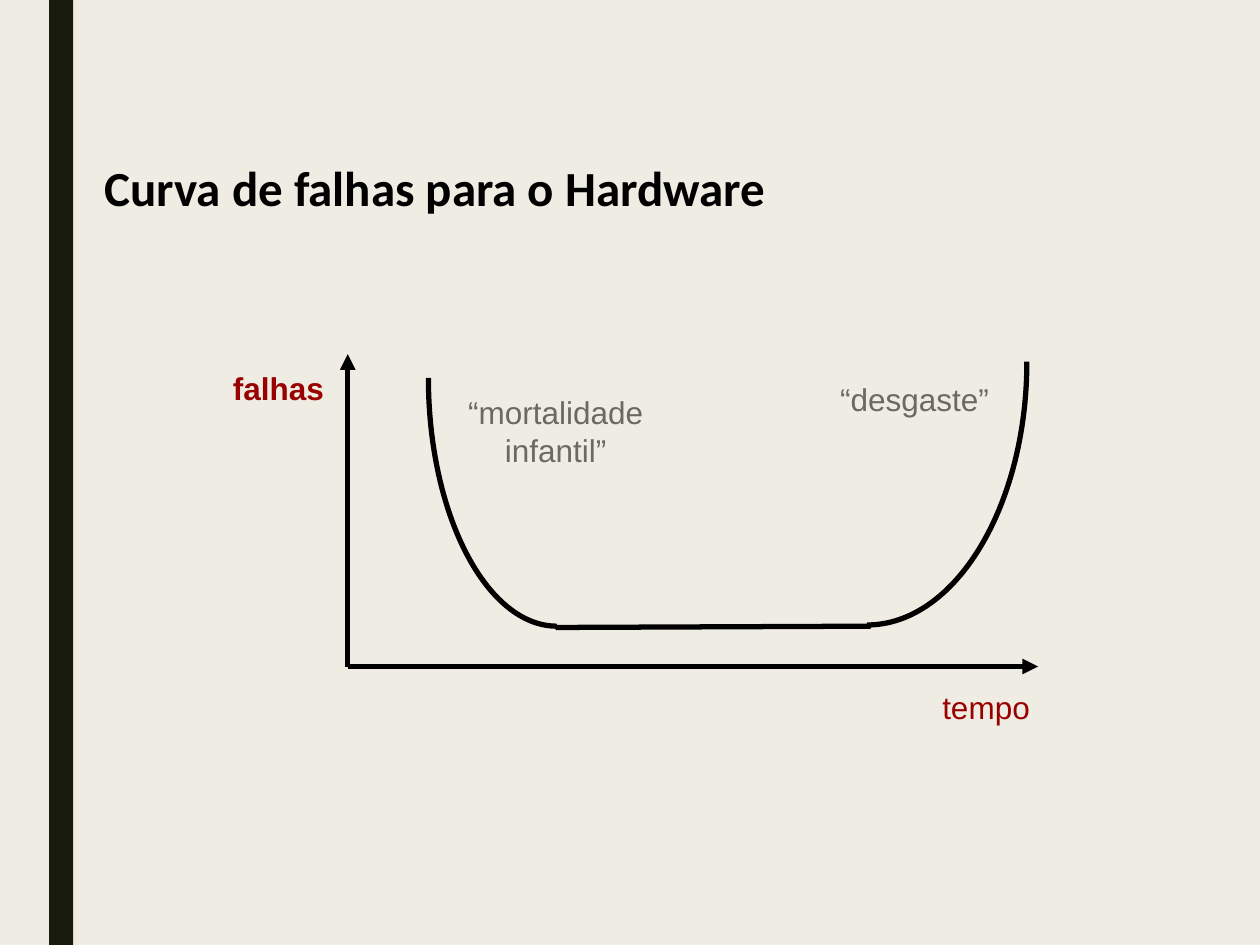
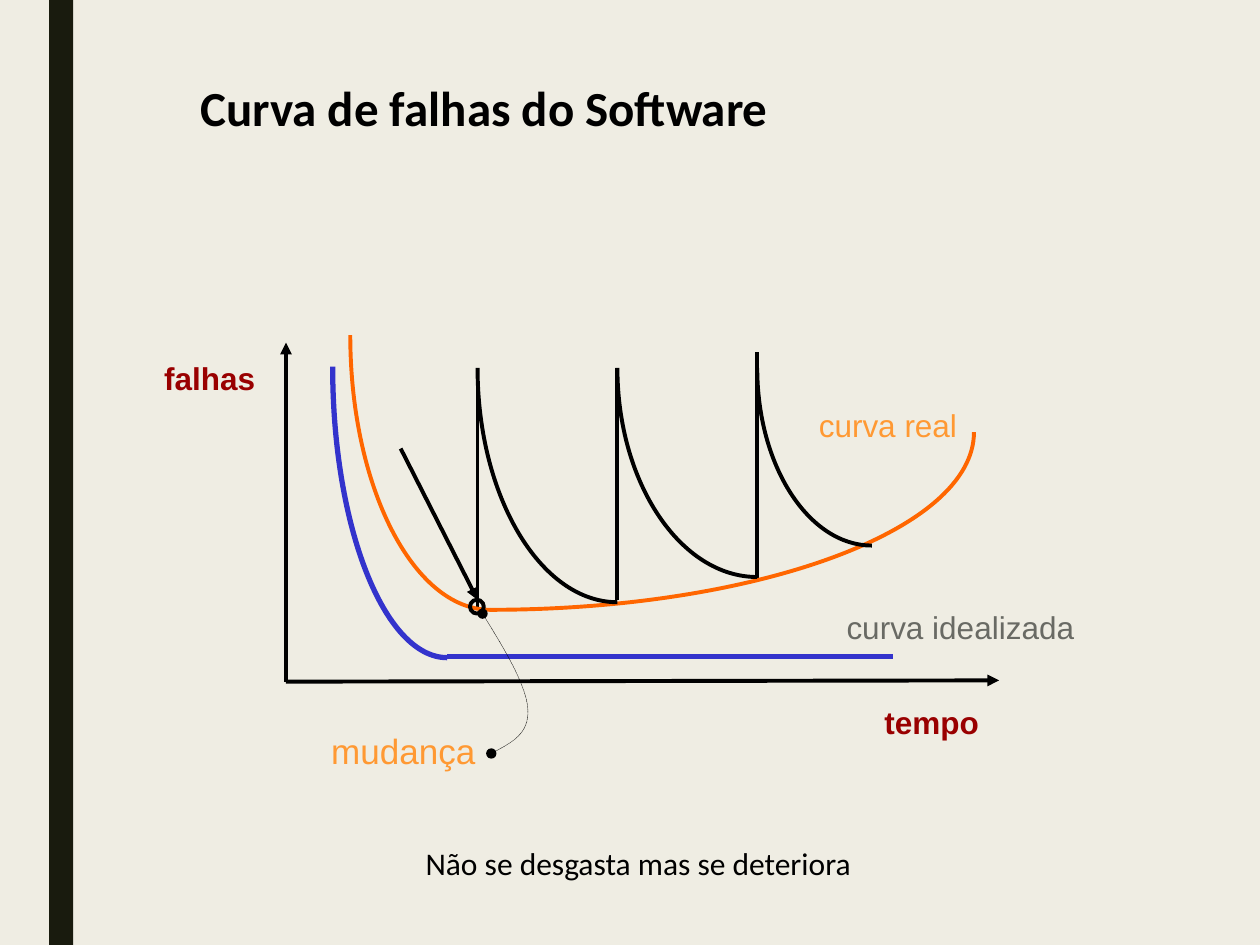
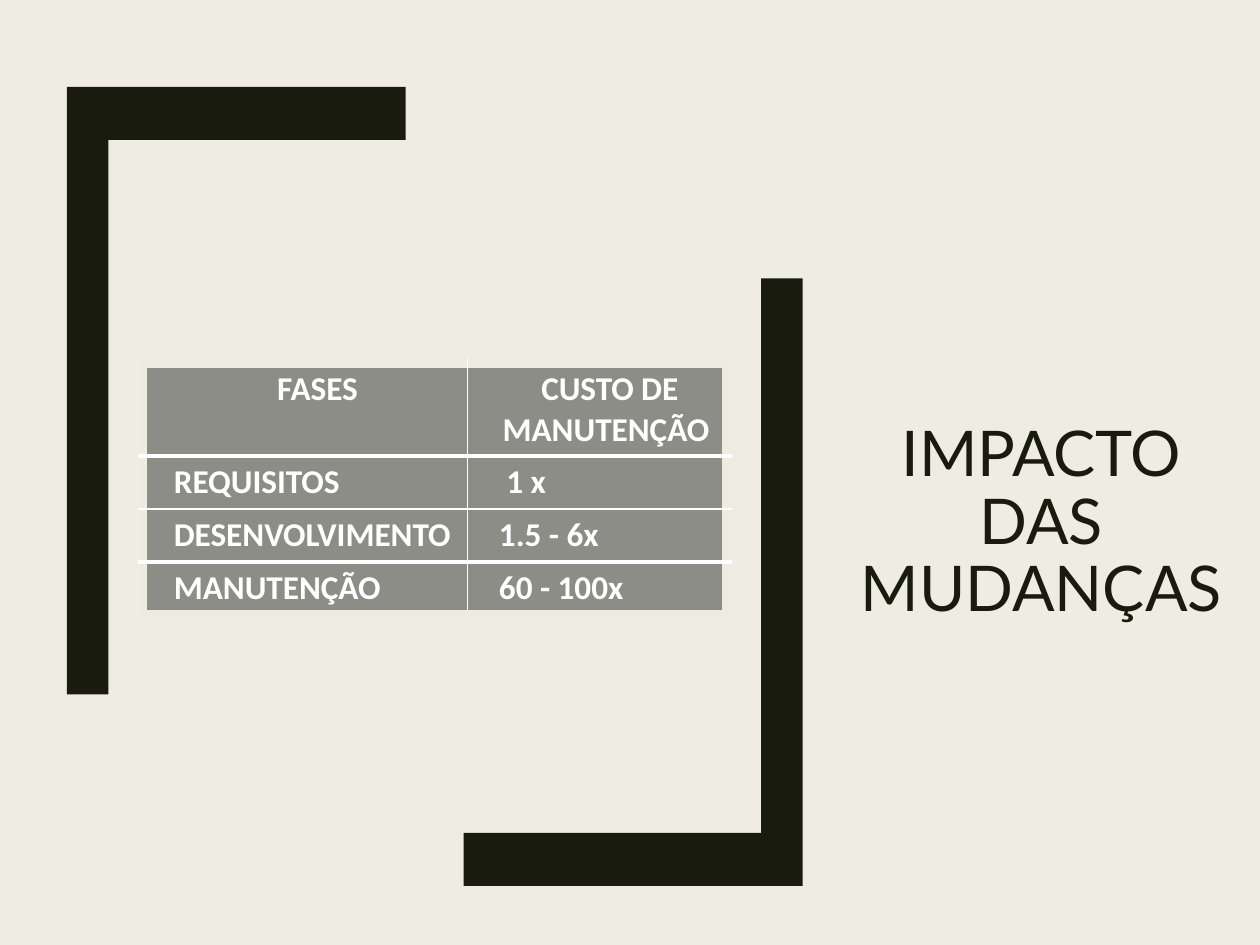
from lxml import etree
from pptx import Presentation
from pptx import util as u
from pptx.dml.color import RGBColor
from pptx.enum import dml, shapes, text
from pptx.oxml import ns

PX = 9144  # 100 px to the inch
DARK, PAPER, BLACK, WHITE = "191B0E", "EFEDE3", "000000", "FFFFFF"
RED, GREY, AMBER = "990000", "696A64", "FF9933"
BLUE, ORANGE = "3333CC", "FF6600"
CELL, EDGE = "8C8D86", "EEECE1"
LEFT, CENTER, JUSTIFY = text.PP_ALIGN.LEFT, text.PP_ALIGN.CENTER, text.PP_ALIGN.JUSTIFY
rgb = RGBColor.from_string


def write(frame, words, font, size, colour, bold=False, align=LEFT, indent=0):
    frame.word_wrap = True
    frame.text = words
    paragraph = frame.paragraphs[0]
    paragraph.alignment = align
    if indent:
        properties = paragraph._p.get_or_add_pPr()
        properties.set("marL", str(indent * PX))
        properties.set("indent", "0")
    paragraph.font.name = font
    paragraph.font.size = u.Pt(size)
    paragraph.font.bold = bold
    paragraph.font.color.rgb = rgb(colour)
    return paragraph


def style_line(shape, colour, width, head=None, tail=None, dash=None):
    line = shape.line
    line.color.rgb = rgb(colour)
    line.width = u.Pt(width)
    if dash:
        line.dash_style = dash
    for tag, kind in (("a:headEnd", head), ("a:tailEnd", tail)):
        if kind:
            etree.SubElement(line._get_or_add_ln(), ns.qn(tag), type=kind)


presentation = Presentation()
presentation.slide_width, presentation.slide_height = 1000 * PX, 750 * PX
master = presentation.slide_master
master.background.fill.solid()
master.background.fill.fore_color.rgb = rgb(PAPER)
graph_layout, table_layout = presentation.slide_layouts[5], presentation.slide_layouts[1]

# Slides and titles
titles = [
    (graph_layout, "Curva de falhas para o Hardware", (83, 72, 982, 152),
     "Calibri", 28, BLACK, True, LEFT),
    (graph_layout, "Curva de falhas do Software", (159, 55, 961, 60),
     "Calibri", 28, BLACK, True, LEFT),
    (table_layout, "IMPACTO DAS MUDANÇAS", (669, 73, 315, 423),
     "Lato", 36, DARK, False, CENTER),
]
for layout, words, box, *style in titles:
    slide = presentation.slides.add_slide(layout)
    title = slide.shapes.title
    title.left, title.top, title.width, title.height = [n * PX for n in box]
    frame = title.text_frame
    frame.auto_size = text.MSO_AUTO_SIZE.NONE
    frame.margin_left = frame.margin_right = frame.margin_top = frame.margin_bottom = 0
    frame.vertical_anchor = text.MSO_ANCHOR.MIDDLE
    paragraph = write(frame, words, *style)
hardware, software, impact = presentation.slides
frame.vertical_anchor = text.MSO_ANCHOR.BOTTOM
paragraph.line_spacing = 0.89
body = impact.placeholders[1].element
body.getparent().remove(body)

# Side band, moved to the layout of the graph slides
band = hardware.shapes.add_shape(shapes.MSO_SHAPE.RECTANGLE, *[n * PX for n in (39, 0, 19, 750)])
band.shadow.inherit = False
band.fill.solid()
band.fill.fore_color.rgb = rgb(DARK)
band.line.fill.background()
band.element.nvSpPr.cNvPr.set("id", "20")
graph_layout.shapes.element.insert(2, band.element)

# Labels of the two graphs
labels = [
    (hardware, "tempo", (738, 541, 108, 42), "Arial", 18, RED),
    (hardware, "“desgaste”", (657, 297, 160, 71), "Arial", 18, GREY),
    (hardware, "“mortalidade infantil”", (336, 307, 210, 130), "Arial", 18, GREY, False, CENTER),
    (hardware, "falhas", (166, 288, 110, 45), "Arial", 18, RED, True, CENTER),
    (software, "falhas", (106, 280, 121, 51), "Arial", 18, RED, True, CENTER),
    (software, "mudança", (253, 574, 145, 49), "Arial", 20, AMBER),
    (software, "curva real", (640, 317, 222, 77), "Arial", 18, AMBER),
    (software, "curva idealizada", (662, 478, 222, 38), "Arial", 18, GREY),
    (software, "tempo", (692, 553, 101, 50), "Arial", 18, RED, True),
    (software, "Não se desgasta mas se deteriora", (278, 665, 560, 40),
     "Calibri", 18, BLACK, False, LEFT, 50),
]
for slide, words, box, *style in labels:
    label = slide.shapes.add_textbox(*[n * PX for n in box])
    write(label.text_frame, words, *style)

# Axes and straight strokes
strokes = [
    (hardware, (276, 281, 276, 529), BLACK, 3, "triangle"),
    (hardware, (276, 529, 824, 529), BLACK, 3, None, "triangle"),
    (hardware, (441, 498, 691, 497), BLACK, 3),
    (software, (227, 272, 227, 541), BLACK, 2.25, "triangle"),
    (software, (227, 541, 793, 540), BLACK, 2.25, None, "triangle"),
    (software, (355, 521, 709, 521), BLUE, 3),
    (software, (379, 484, 379, 292), BLACK, 2.25),
    (software, (490, 476, 490, 292), BLACK, 2.25),
    (software, (601, 459, 601, 279), BLACK, 2.25),
    (software, (318, 356, 379, 476), BLACK, 2.25, None, "triangle"),
]
for slide, ends, *style in strokes:
    stroke = slide.shapes.add_connector(shapes.MSO_CONNECTOR.STRAIGHT, *[n * PX for n in ends])
    style_line(stroke, *style)
    etree.SubElement(stroke.element.spPr, ns.qn("a:effectLst"))

# Quarter arcs, from the flat end to the steep end
arcs = [
    (hardware, (442, 497, 340, 300), BLACK, 3),
    (hardware, (688, 496, 815, 287), BLACK, 3),
    (software, (355, 522, 264, 291), BLUE, 3),
    (software, (389, 484, 278, 266), ORANGE, 2.25),
    (software, (389, 484, 773, 343), ORANGE, 2.25),
    (software, (490, 478, 379, 292), BLACK, 2.25),
    (software, (601, 458, 490, 292), BLACK, 2.25),
    (software, (692, 433, 601, 292), BLACK, 2.25),
]
curves = []
for slide, (x0, y0, x1, y1), *style in arcs:
    controls = [(x0, y0), (x0 + 0.55 * (x1 - x0), y0), (x1, y1 + 0.55 * (y0 - y1)), (x1, y1)]
    curves.append((slide, controls, *style))

# Dotted leader from the label "mudança" to the change point
leader = [(390, 598), (405, 590), (420, 582), (419, 563), (418, 545), (401, 516), (383, 487)]
curves.append((software, leader, BLACK, 0.25, "oval", "oval", dml.MSO_LINE.ROUND_DOT))

for slide, controls, *style in curves:
    builder = slide.shapes.build_freeform(*controls[0], scale=PX)
    builder.add_line_segments(controls[1:], close=False)
    curve = builder.convert_to_shape()
    curve.shadow.inherit = False
    curve.fill.background()
    style_line(curve, *style)
    # Every three line segments become one Bézier segment
    outline = curve.element.find(".//" + ns.qn("a:path"))
    segments = outline.findall(ns.qn("a:lnTo"))
    for first in range(0, len(segments), 3):
        bezier = etree.SubElement(outline, ns.qn("a:cubicBezTo"))
        for segment in segments[first:first + 3]:
            bezier.append(segment[0])
            outline.remove(segment)

# Change point
ring = software.shapes.add_shape(shapes.MSO_SHAPE.OVAL, *[n * PX for n in (373, 476, 11, 11)])
ring.shadow.inherit = False
ring.fill.background()
style_line(ring, BLACK, 2.25)

# Brackets: the second is the first turned by half a circle
bracket = [(86, 551), (53, 551), (53, 69), (322, 69), (322, 111), (86, 111)]
for outline in (bracket, [(690 - x, 772 - y) for x, y in bracket]):
    builder = impact.shapes.build_freeform(*outline[0], scale=PX)
    builder.add_line_segments(outline[1:])
    corner = builder.convert_to_shape()
    corner.shadow.inherit = False
    corner.fill.solid()
    corner.fill.fore_color.rgb = rgb(DARK)
    corner.line.fill.background()

# Cost table
rows = [
    ("FASES", "CUSTO DE MANUTENÇÃO "),
    ("REQUISITOS", " 1 x"),
    ("DESENVOLVIMENTO", "1.5 - 6x"),
    ("MANUTENÇÃO", "60 - 100x"),
]
across = [(EDGE, 6), (WHITE, 3), (WHITE, 0.96), (WHITE, 3), (EDGE, 6)]
down = [(EDGE, 6), (WHITE, 0.96), (EDGE, 6)]
table = impact.shapes.add_table(4, 2, *[n * PX for n in (113, 288, 464, 195)]).table
table.first_row = table.horz_banding = False
for column, width in zip(table.columns, (258, 206)):
    column.width = width * PX
for row, height in zip(table.rows, (72, 41, 41, 41)):
    row.height = height * PX
for i, row in enumerate(rows):
    for j, words in enumerate(row):
        cell = table.cell(i, j)
        cell.margin_left = cell.margin_right = cell.margin_top = cell.margin_bottom = 5 * PX
        paragraph = write(cell.text_frame, words, "Calibri", 19, WHITE, True,
                          JUSTIFY if i else CENTER, 20)
        paragraph.space_after = u.Pt(3 if i else 6)
        borders = {"a:lnL": down[j], "a:lnR": down[j + 1],
                   "a:lnT": across[i], "a:lnB": across[i + 1]}
        for tag, (colour, width) in borders.items():
            border = etree.SubElement(cell._tc.get_or_add_tcPr(), ns.qn(tag), w=str(u.Pt(width)))
            fill = etree.SubElement(border, ns.qn("a:solidFill"))
            etree.SubElement(fill, ns.qn("a:srgbClr"), val=colour)
        cell.fill.solid()
        cell.fill.fore_color.rgb = rgb(CELL)

presentation.save("out.pptx")
